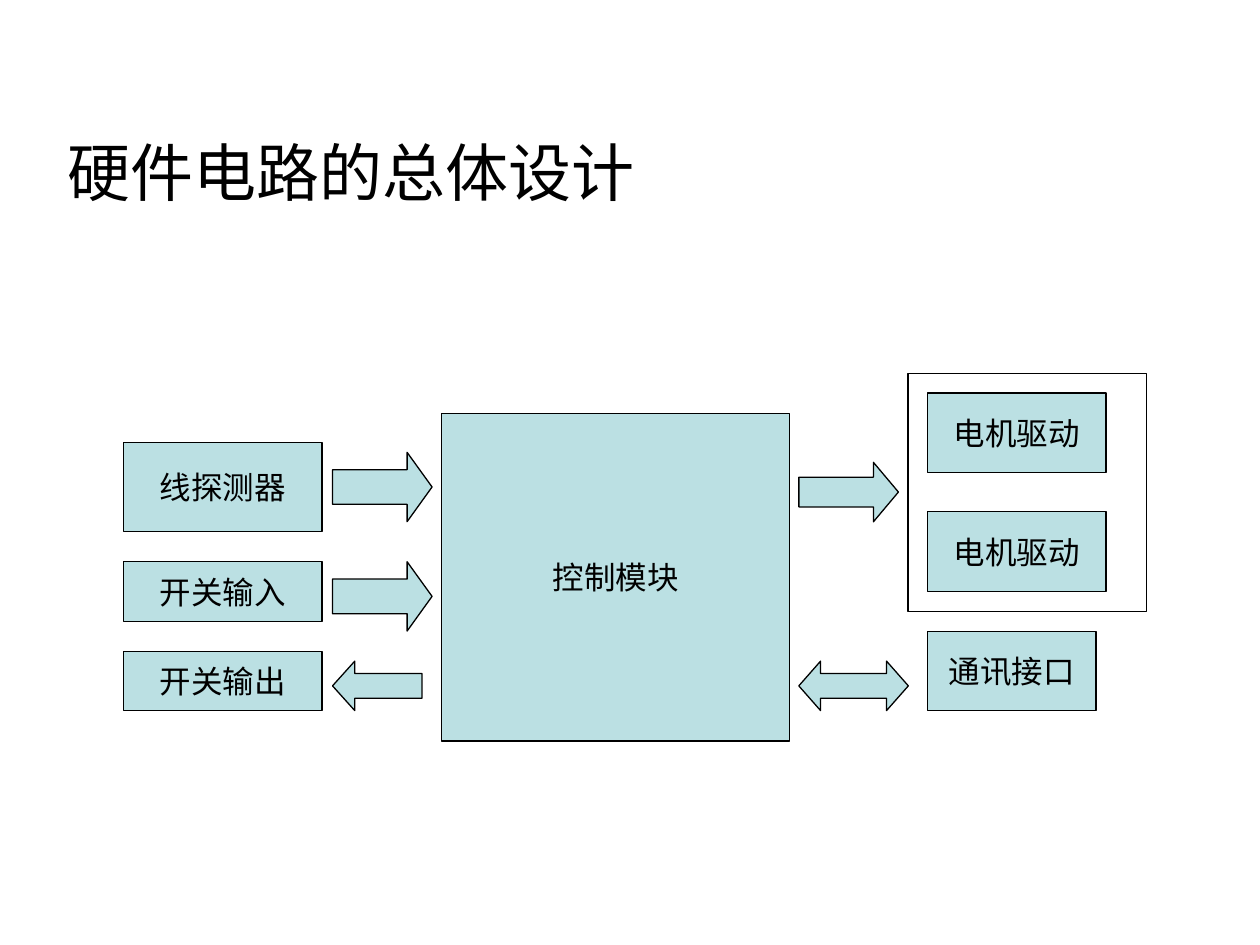
import pptx
import pptx.util
import pptx.dml.color
import pptx.enum.shapes
import pptx.enum.text

Pt = pptx.util.Pt
Shape = pptx.enum.shapes.MSO_SHAPE
Align = pptx.enum.text.PP_ALIGN


def color(value):
    return pptx.dml.color.RGBColor.from_string(value)


def write(box, text, size=18, font="Arial", align=Align.CENTER, wrap=False):
    frame = box.text_frame
    frame.word_wrap = wrap
    frame.vertical_anchor = pptx.enum.text.MSO_ANCHOR.MIDDLE
    para = frame.paragraphs[0]
    para.alignment = align
    span = para.add_run()
    span.text = text
    span.font.size = Pt(size)
    span.font.name = font
    span.font.color.rgb = color("000000")


deck = pptx.Presentation()
deck.slide_width = Pt(720)
deck.slide_height = Pt(540)
page = deck.slides.add_slide(deck.slide_layouts[6])

title = page.shapes.add_textbox(Pt(31.7), Pt(61.2), Pt(646.6), Pt(73.4))
write(title, "硬件电路的总体设计", size=36, font="League Spartan", align=Align.LEFT, wrap=True)

input_left, motor_left = 70.6, 529.9
arrow_in_left, arrow_out_left = 190, 456.5
input_width, motor_width = 113.4, 102.1

parts = [
    (Shape.RECTANGLE, 252.4, 236.2, 198.7, 187.2, "控制模块"),
    (Shape.RECTANGLE, input_left, 252.8, input_width, 51.1, "线探测器"),
    (Shape.RECTANGLE, input_left, 321, input_width, 34, "开关输入"),
    (Shape.RECTANGLE, input_left, 372.2, input_width, 34, "开关输出"),
    (Shape.RECTANGLE, 518.9, 213.3, 136.1, 136.1, None),
    (Shape.RECTANGLE, motor_left, 224.6, motor_width, 45.4, "电机驱动"),
    (Shape.RECTANGLE, motor_left, 292.5, motor_width, 45.4, "电机驱动"),
    (Shape.RECTANGLE, motor_left, 360.7, 96.5, 45.4, "通讯接口"),
    (Shape.RIGHT_ARROW, arrow_in_left, 258.5, 56.9, 39.6, 0.36),
    (Shape.RIGHT_ARROW, arrow_in_left, 321, 56.9, 39.6, 0.36),
    (Shape.LEFT_ARROW, arrow_in_left, 377.8, 51.1, 28.3, 0.45),
    (Shape.RIGHT_ARROW, arrow_out_left, 264.2, 56.9, 34, 0.42),
    (Shape.LEFT_RIGHT_ARROW, arrow_out_left, 377.8, 62.6, 28.3, 0.44),
]

for kind, left, top, width, height, detail in parts:
    box = page.shapes.add_shape(kind, Pt(left), Pt(top), Pt(width), Pt(height))
    box.shadow.inherit = False
    box.line.color.rgb = color("000000")
    box.line.width = Pt(0.75)
    if detail is None:
        box.fill.background()
        continue
    box.fill.solid()
    box.fill.fore_color.rgb = color("BBE0E3")
    if kind == Shape.RECTANGLE:
        write(box, detail)
    else:
        box.adjustments[0] = 0.5
        box.adjustments[1] = detail

deck.save("out.pptx")
